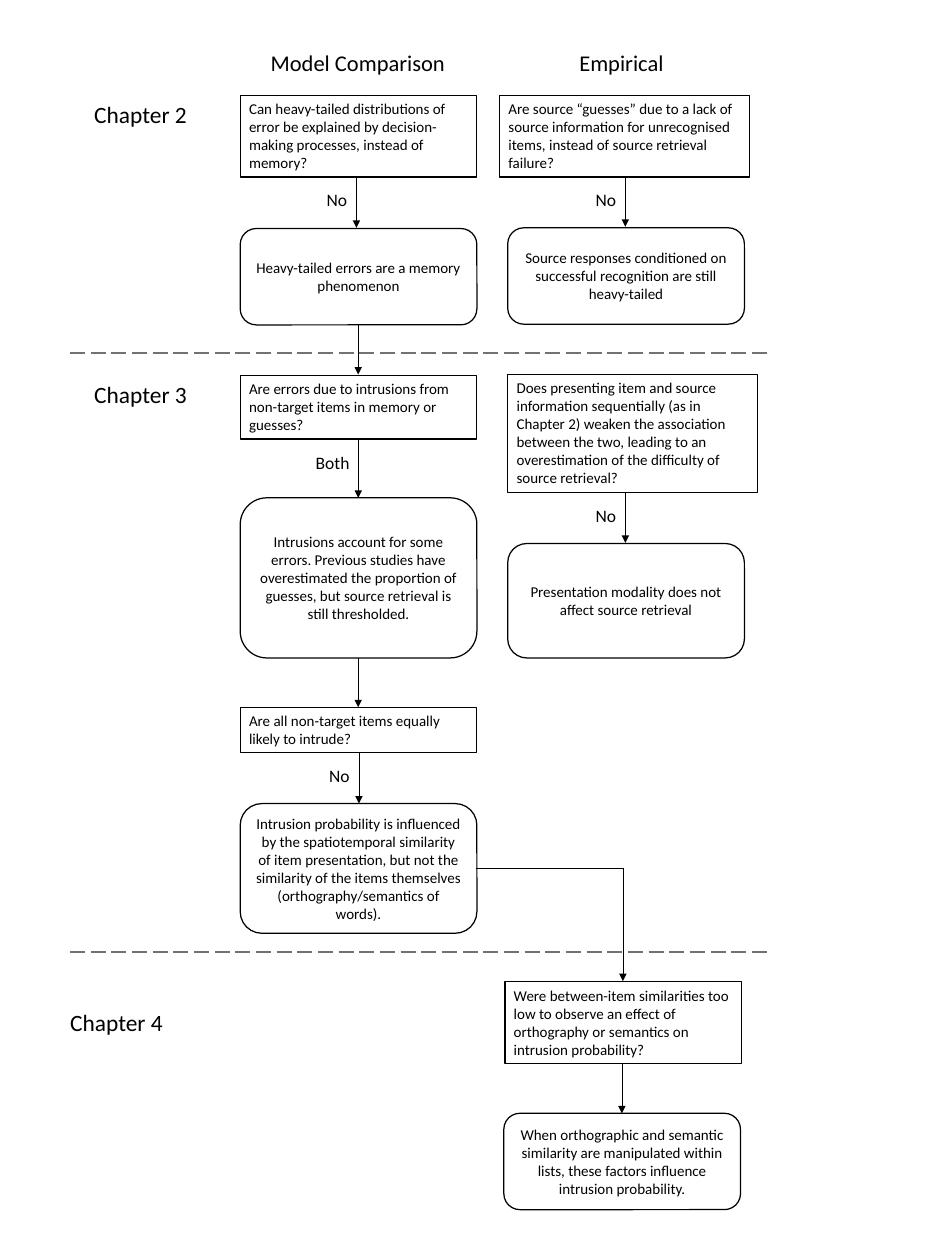
"""Build a flowchart slide of research questions and findings by chapter."""
from lxml import etree
from pptx import Presentation
from pptx.dml.color import RGBColor
from pptx.enum.dml import MSO_LINE
from pptx.enum.shapes import MSO_CONNECTOR, MSO_SHAPE
from pptx.enum.text import MSO_ANCHOR, PP_ALIGN
from pptx.oxml.ns import qn
from pptx.util import Cm, Pt

RECT, ROUND = MSO_SHAPE.RECTANGLE, MSO_SHAPE.ROUNDED_RECTANGLE
STRAIGHT, LONG_DASH = MSO_CONNECTOR.STRAIGHT, MSO_LINE.LONG_DASH
TOP, MIDDLE = MSO_ANCHOR.TOP, MSO_ANCHOR.MIDDLE
LEFT, CENTER = PP_ALIGN.LEFT, PP_ALIGN.CENTER
COLORS = {"ink": "000000", "divider": "767171"}
FONT = "Calibri"
MODEL, EMPIRICAL = 4.8, 12.35
NARROW, WIDE = 6.68, 7.06


def color(name):
    return RGBColor.from_string(COLORS[name])


def write(sp, text, size, align=LEFT, anchor=TOP, wrap=True):
    tf = sp.text_frame
    tf.word_wrap = wrap
    tf.vertical_anchor = anchor
    p = tf.paragraphs[0]
    p.text = text
    p.alignment = align
    p.font.name = FONT
    p.font.size = Pt(size)
    p.font.color.rgb = color("ink")


def label(s, x, y, w, h, text, size):
    write(s.shapes.add_textbox(Cm(x), Cm(y), Cm(w), Cm(h)), text, size, wrap=False)


def chapter_label(s, x, y, text):
    label(s, x, y, 3.15, 1.07, text, 18.7)


def reply(s, x, y, text="No", w=1.09):
    label(s, x, y, w, 0.86, text, 14)


def box(s, kind, x, y, w, h, text, align, anchor):
    sp = s.shapes.add_shape(kind, Cm(x), Cm(y), Cm(w), Cm(h))
    sp.shadow.inherit = False
    sp.fill.background()
    sp.line.color.rgb = color("ink")
    sp.line.width = Pt(1)
    write(sp, text, 12, align, anchor)


def question(s, x, y, w, h, text):
    box(s, RECT, x, y, w, h, text, LEFT, TOP)


def finding(s, x, y, h, text):
    box(s, ROUND, x, y, NARROW, h, text, CENTER, MIDDLE)


def line(s, x1, y1, x2, y2, name="ink", width=0.5):
    c = s.shapes.add_connector(STRAIGHT, Cm(x1), Cm(y1), Cm(x2), Cm(y2))
    c.line.color.rgb = color(name)
    c.line.width = Pt(width)
    etree.SubElement(c._element.spPr, qn("a:effectLst"))
    return c


def arrow(s, x, y1, y2):
    c = line(s, x, y1, x, y2)
    etree.SubElement(c.line._get_or_add_ln(), qn("a:tailEnd"), type="triangle")


def divider(s, x, y):
    line(s, x, y, x + 19.69, y, "divider", 1.5).line.dash_style = LONG_DASH


def headings(s, x, y):
    label(s, x + 5.41, y, 5.49, 1.02, "Model Comparison", 18)
    label(s, x + 14.12, y, 2.92, 1.02, "Empirical", 18)


def chapter_2(s, x, y):
    chapter_label(s, x + 0.43, y, "Chapter 2")
    question(s, x + MODEL, y, NARROW, 2.31,
             "Can heavy-tailed distributions of error be explained by "
             "decision-making processes, instead of memory?")
    arrow(s, x + 8.08, y + 2.34, y + 3.74)
    reply(s, x + 6.99, y + 2.52)
    finding(s, x + MODEL, y + 3.76, 2.72, "Heavy-tailed errors are a memory phenomenon")
    question(s, x + 12.12, y, WIDE, 2.31,
             "Are source “guesses” due to a lack of source information for "
             "unrecognised items, instead of source retrieval failure?")
    arrow(s, x + 15.67, y + 2.31, y + 3.71)
    reply(s, x + 14.58, y + 2.52)
    finding(s, x + EMPIRICAL, y + 3.74, 2.72,
            "Source responses conditioned on successful recognition are still heavy-tailed")
    arrow(s, x + 8.13, y + 6.48, y + 7.88)
    divider(s, x, y + 7.27)


def chapter_3(s, x, y):
    chapter_label(s, x + 0.43, y, "Chapter 3")
    question(s, x + MODEL, y, NARROW, 1.8,
             "Are errors due to intrusions from non-target items in memory or guesses?")
    arrow(s, x + 8.13, y + 1.8, y + 3.46)
    reply(s, x + 6.68, y + 2.03, "Both", 1.47)
    finding(s, x + MODEL, y + 3.46, 4.52,
            "Intrusions account for some errors. Previous studies have overestimated "
            "the proportion of guesses, but source retrieval is still thresholded.")
    arrow(s, x + 8.13, y + 7.98, y + 9.37)
    question(s, x + MODEL, y + 9.37, NARROW, 1.27,
             "Are all non-target items equally likely to intrude?")
    arrow(s, x + 8.15, y + 10.67, y + 12.09)
    reply(s, x + 7.06, y + 10.87)
    finding(s, x + MODEL, y + 12.09, 3.66,
            "Intrusion probability is influenced by the spatiotemporal similarity of "
            "item presentation, but not the similarity of the items themselves "
            "(orthography/semantics of words).")
    question(s, x + EMPIRICAL, y - 0.02, WIDE, 3.33,
             "Does presenting item and source information sequentially (as in Chapter 2) "
             "weaken the association between the two, leading to an overestimation of "
             "the difficulty of source retrieval?")
    arrow(s, x + 15.67, y + 3.33, y + 4.73)
    reply(s, x + 14.58, y + 3.53)
    finding(s, x + EMPIRICAL, y + 4.75, 3.23,
            "Presentation modality does not affect source retrieval")
    line(s, x + 11.46, y + 13.92, x + 15.6, y + 13.92)
    arrow(s, x + 15.6, y + 13.92, y + 17.1)
    divider(s, x, y + 16.28)


def chapter_4(s, x, y):
    chapter_label(s, x - 0.25, y + 0.61, "Chapter 4")
    question(s, x + 12.27, y, NARROW, 2.31,
             "Were between-item similarities too low to observe an effect of "
             "orthography or semantics on intrusion probability?")
    arrow(s, x + 15.57, y + 2.31, y + 3.71)
    finding(s, x + 12.24, y + 3.71, 2.72,
            "When orthographic and semantic similarity are manipulated within lists, "
            "these factors influence intrusion probability.")


prs = Presentation()
prs.slide_width, prs.slide_height = Cm(26.67), Cm(35.56)
s = prs.slides.add_slide(prs.slide_layouts[6])
for region, top in ((headings, 1.25), (chapter_2, 2.69), (chapter_3, 10.59), (chapter_4, 27.71)):
    region(s, 1.98, top)
prs.save("out.pptx")
